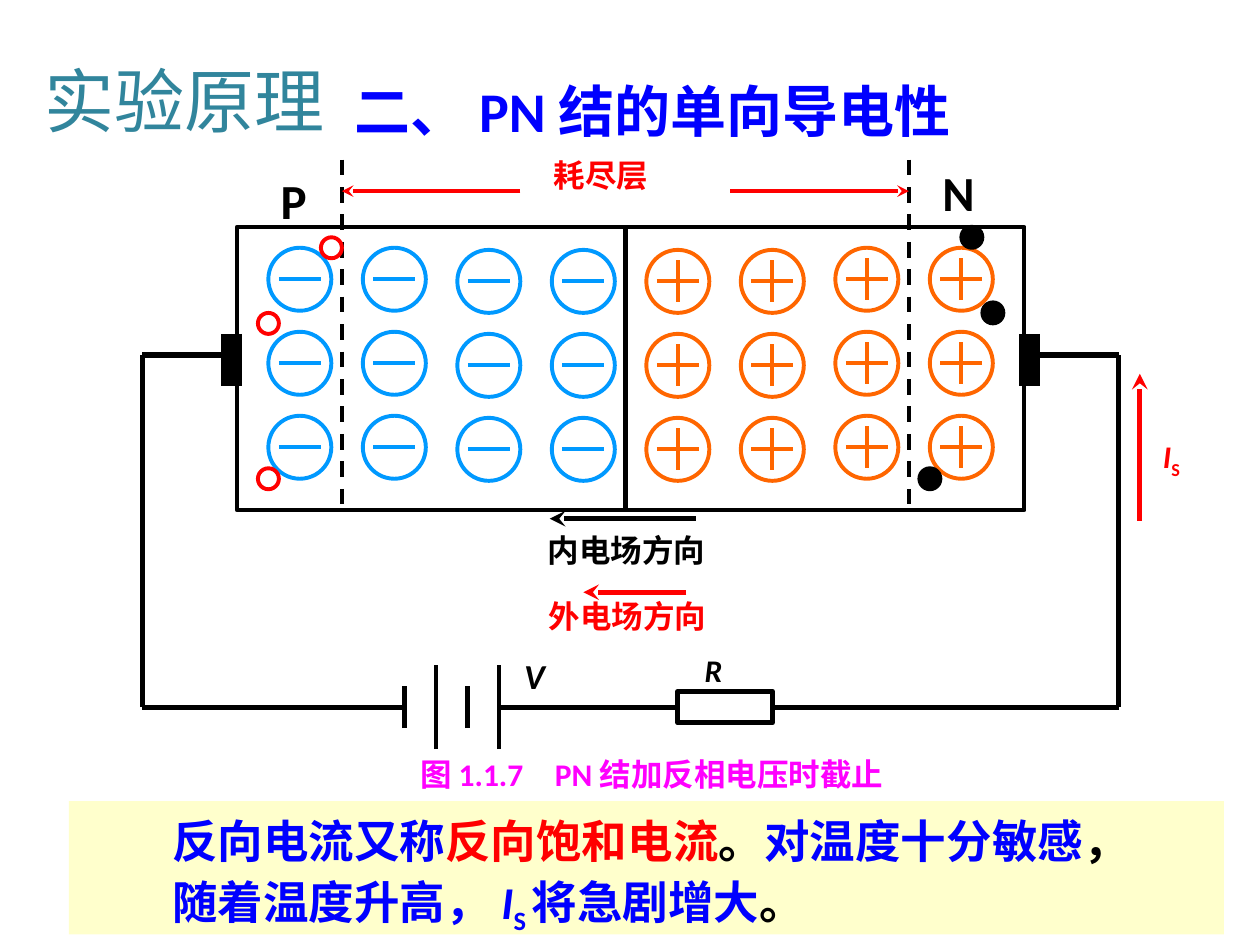
from lxml import etree
from pptx import Presentation
from pptx.dml.color import RGBColor
from pptx.enum.dml import MSO_LINE
from pptx.enum.shapes import MSO_CONNECTOR, MSO_SHAPE
from pptx.enum.text import MSO_ANCHOR, PP_ALIGN
from pptx.oxml.ns import qn
from pptx.util import Inches, Pt

RECT, OVAL = MSO_SHAPE.RECTANGLE, MSO_SHAPE.OVAL
TOP, MID = MSO_ANCHOR.TOP, MSO_ANCHOR.MIDDLE
LEFT, MIDST, JUST = PP_ALIGN.LEFT, PP_ALIGN.CENTER, PP_ALIGN.JUSTIFY
DASH = MSO_LINE.DASH

THEME = {
    "black": "000000", "white": "FFFFFF", "red": "FF0000", "blue": "0000FF",
    "teal": "31859C", "pink": "FF00FF", "cream": "FFFFCC",
    "minus": "0099FF", "plus": "FF6600",
    "title": 40, "head": 32, "side": 28, "note": 26, "volt": 20, "label": 18,
    "thin": 2.25, "bold": 3, "plate": 6,
    "latin": "Calibri", "asian": "Noto Sans CJK SC",
}

# Grid of twelve cells to the inch, counted from the top left of the PN body
CELL = Inches(1) // 12
ZERO_X, ZERO_Y = Inches(1.88), Inches(1.8)
WIDE, HIGH = 75, 27


def link(x1, y1, x2, y2, color="black", width="bold", dash=None, arrow=False):
    """Draw a straight line between two grid points."""
    line = slide.shapes.add_connector(
        MSO_CONNECTOR.STRAIGHT,
        ZERO_X + int(x1 * CELL), ZERO_Y + int(y1 * CELL),
        ZERO_X + int(x2 * CELL), ZERO_Y + int(y2 * CELL))
    line.line.color.rgb = RGBColor.from_string(THEME[color])
    line.line.width = Pt(THEME[width])
    if dash:
        line.line.dash_style = dash
    props = line._element.spPr
    if arrow:
        etree.SubElement(props.find(qn("a:ln")), qn("a:tailEnd"), type="stealth")
    etree.SubElement(props, qn("a:effectLst"))


def write(shape, at, *lines, color="black", size="label", bold=True, align=LEFT,
          anchor=TOP, wrap=True, indent=0, space=None, font="latin"):
    """Place a shape on the grid and fill it; a run is (text, color, style)."""
    x, y, w, h = (int(n * CELL) for n in at)
    shape.left, shape.top, shape.width, shape.height = ZERO_X + x, ZERO_Y + y, w, h
    frame = shape.text_frame
    frame.word_wrap, frame.vertical_anchor = wrap, anchor
    for i, runs in enumerate(lines):
        para = frame.add_paragraph() if i else frame.paragraphs[0]
        para.alignment, para.line_spacing = align, space
        if indent:
            para._p.get_or_add_pPr().set("indent", str(Inches(indent)))
        for text, tint, style in [(runs, color, "")] if isinstance(runs, str) else runs:
            run = para.add_run()
            run.text = text
            run.font.size, run.font.bold = Pt(THEME[size]), bold
            run.font.italic = style == "italic"
            run.font.name = THEME[font]
            run.font.color.rgb = RGBColor.from_string(THEME[tint])
            props = run._r.get_or_add_rPr()
            etree.SubElement(props, qn("a:ea"), typeface=THEME["asian"])
            if style == "sub":
                props.set("baseline", "-25000")


deck = Presentation()
deck.slide_width, deck.slide_height = Inches(10), Inches(7.5)
slide = deck.slides.add_slide(deck.slide_layouts[5])

write(slide.shapes.title, (-19.5, -18.4, 92, 12.5), "实验原理", color="teal",
      size="title", bold=False, anchor=MID, font="asian")

# Depletion layer
for edge, inner in ((10, 27), (64, 47)):
    link(edge, -6.4, edge, HIGH, width="thin", dash=DASH)
    link(inner, -3.4, edge, -3.4, "red", "thin", arrow=True)

# Outer circuit
hub, base, west, east = 12.2, 45.75, -9, 84
for wire in ((-1, hub, west, hub), (west, hub, west, base), (west, base, 16, base),
             (25, base, east, base), (east, base, east, hub), (east, hub, 76, hub)):
    link(*wire)
for x in (-1, 0, WIDE, WIDE + 1):
    link(x, 10.2, x, 15.2, width="plate")
for x, half, width in ((16, 2, "bold"), (19, 4, "thin"),
                       (22, 2, "bold"), (25, 4, "thin")):
    link(x, base + half, x, base - half, width=width)

# Field and current arrows
link(43.7, 27.8, 29.8, 27.8, arrow=True)
link(42.8, 34.8, 33, 34.8, "red", arrow=True)
link(86, 28, 86, 14, "red", arrow=True)

# Ions, carriers, body and resistor: form, x, y, w, h, fill, line, width
parts, signs = [], []
for col in range(8):
    tint = "minus" if col < 4 else "plus"
    for row in range(3):
        x = 3 + 9 * col
        y = 2 + 8 * row + (0.2 if 2 <= col <= 5 else 0)
        parts.append((OVAL, x, y, 6, 6, "white", tint, "thin"))
        signs.append((x + 1, y + 3, x + 5, y + 3, tint, "thin"))
        if tint == "plus":
            signs.append((x + 3, y + 1, x + 3, y + 5, tint, "thin"))
for x, y in ((8, 1), (2, 8.2), (2, 23)):
    parts.append((OVAL, x, y, 2, 2, "white", "red", "thin"))
for x, y in ((69, 0), (71, 7.2), (65, 23)):
    parts.append((OVAL, x, y, 2, 2, "black", "black", "thin"))
parts.append((RECT, 0, 0, WIDE, HIGH, None, "black", "thin"))
parts.append((RECT, 42, base - 1.5, 9, 3, "white", "black", "bold"))

for form, x, y, w, h, fill, tint, width in parts:
    part = slide.shapes.add_shape(form, ZERO_X + int(x * CELL), ZERO_Y + int(y * CELL),
                                  int(w * CELL), int(h * CELL))
    part.shadow.inherit = False
    if fill:
        part.fill.solid()
        part.fill.fore_color.rgb = RGBColor.from_string(THEME[fill])
    else:
        part.fill.background()
    part.line.color.rgb = RGBColor.from_string(THEME[tint])
    part.line.width = Pt(THEME[width])
for sign in signs:
    link(*sign)
link(37, 0, 37, HIGH)

# Labels
tag = dict(align=MIDST, anchor=MID, wrap=False)
current = [("I", "red", "italic"), ("S", "red", "sub")]
for at, text, form in (
    ((10, -14.9, 63, 7.5), "二、 PN 结的单向导电性",
     dict(color="blue", size="head", anchor=MID)),
    ((26, -7.3, 25, 6), "耗尽层", dict(color="red", indent=0.25)),
    ((3, -6, 7, 6.8), "P", dict(size="side")),
    ((66, -6.7, 10, 6.8), "N", dict(size="side")),
    ((25.9, 27.8, 22.4, 6), "内电场方向", tag),
    ((26, 34.1, 22.4, 6), "外电场方向", dict(tag, color="red")),
    ((26, 40.1, 4.7, 5.2), [("V", "black", "italic")], dict(tag, size="volt")),
    ((42.9, 39.2, 5, 6), [("R", "black", "italic")], tag),
    ((86.3, 19.1, 5.4, 6), current, tag),
    ((7, 49.7, 65, 6), "图 1.1.7　PN 结加反相电压时截止", dict(color="pink", align=MIDST)),
):
    write(slide.shapes.add_textbox(0, 0, 0, 0), at, text, **form)

# Closing note
note = slide.shapes.add_shape(RECT, 0, 0, 0, 0)
note.shadow.inherit = False
note.fill.solid()
note.fill.fore_color.rgb = RGBColor.from_string(THEME["cream"])
note.line.fill.background()
write(note, (-16, 54.7, 110, 12.7),
      [("反向电流又称", "blue", ""), ("反向饱和电流", "red", ""), ("。", "black", ""),
       ("对温度十分敏感", "blue", ""), ("，", "black", "")],
      [("随着温度升高， ", "blue", ""), ("I", "blue", "italic"), ("S ", "blue", "sub"),
       ("将急剧增大", "blue", ""), ("。", "black", "")],
      size="note", align=JUST, indent=0.72, space=1.1)

deck.save("out.pptx")
